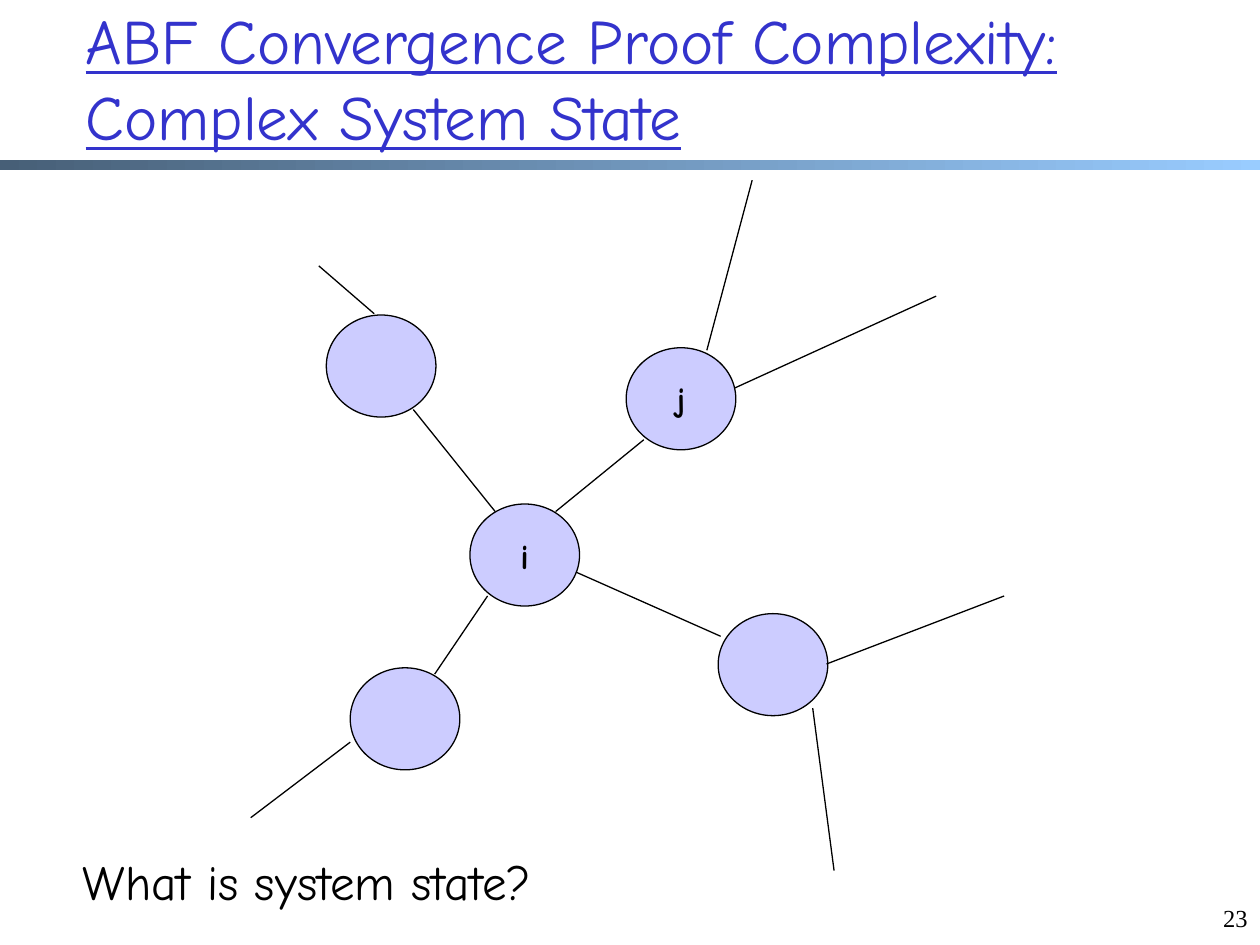
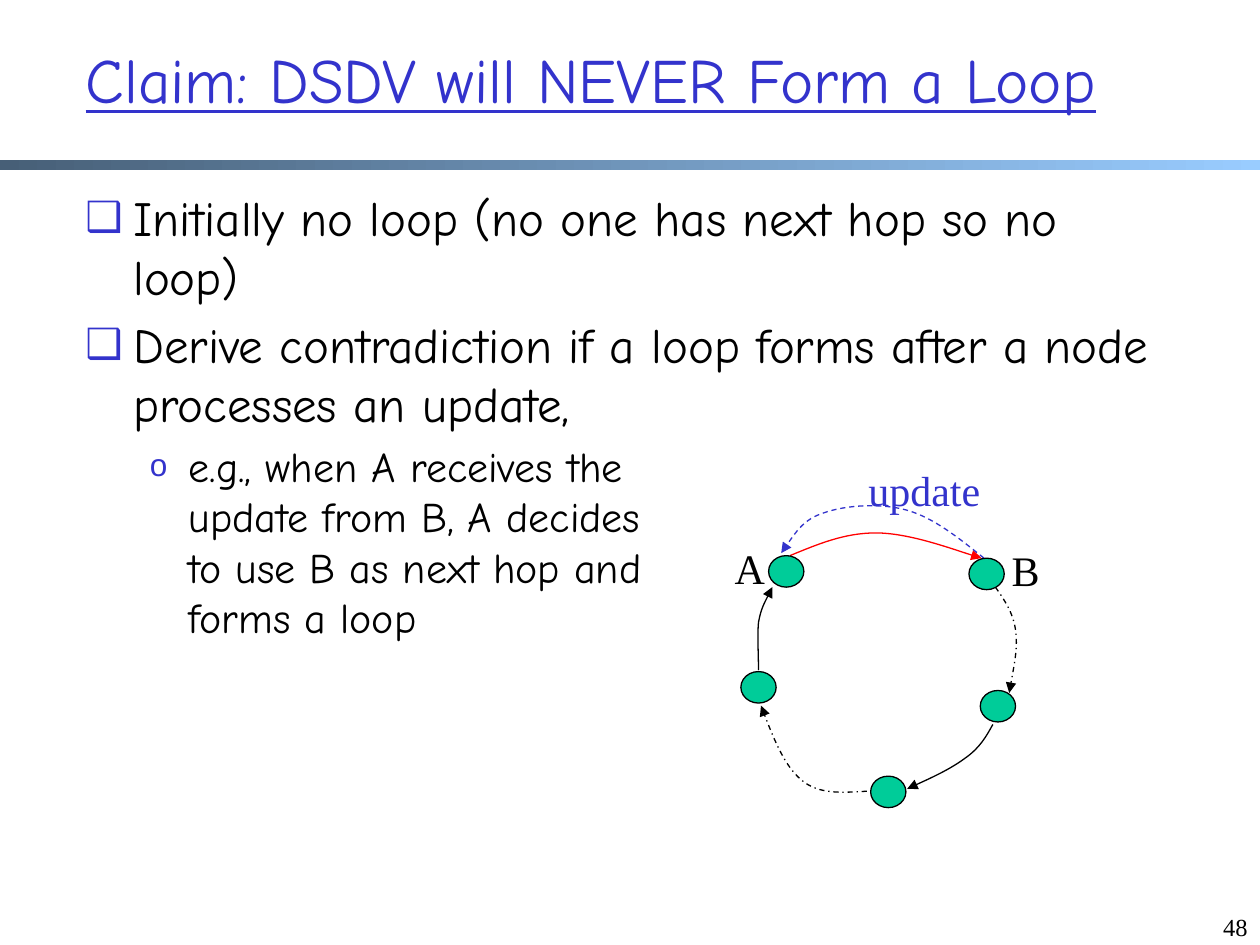
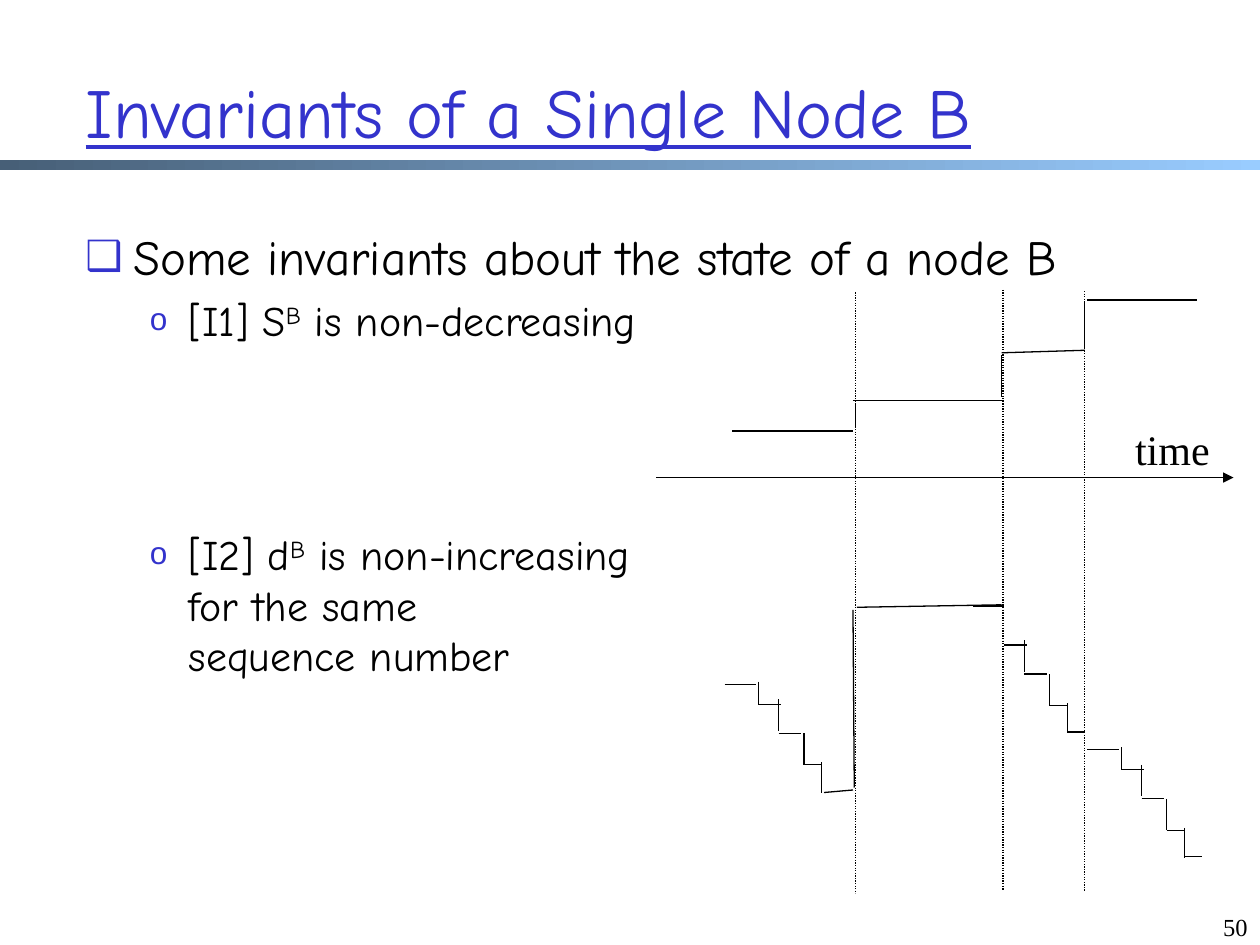
"""Build three slides on distance-vector routing: system state, loops and invariants."""
from lxml.etree import SubElement
from pptx import Presentation
from pptx.dml.color import RGBColor
from pptx.enum.dml import MSO_LINE
from pptx.enum.shapes import MSO_CONNECTOR, MSO_SHAPE
from pptx.enum.text import MSO_ANCHOR, MSO_AUTO_SIZE, PP_ALIGN
from pptx.oxml.ns import qn
from pptx.util import Inches, Pt

BLUE, BLACK, RED = "3333CC", "000000", "FF0000"
LILAC, GREEN = "CCCCFF", "00CC99"
BAND = ("475F77", "99CCFF")
COMIC, TIMES = "Comic Neue", "Times New Roman"
BULLETS = [
    dict(char="❑", pct=85, size=28, margin=0.38, hang=0.38),
    dict(char="o", pct=75, size=24, margin=0.82, hang=0.31),
]

NODE_SIZE = (0.87, 0.81)
NODES = [(3.73, 4, "i"), (4.97, 2.76, "j"), (5.7, 4.87, ""), (2.78, 5.3, ""), (2.59, 2.5, "")]
LINKS = [
    (4.41, 4.06, 5.11, 3.49), (3.93, 4.06, 3.28, 3.25), (3.45, 5.35, 3.87, 4.73),
    (4.57, 4.54, 5.72, 5.05), (5.61, 2.78, 5.97, 1.43), (5.83, 3.08, 7.43, 2.35),
    (2.97, 2.49, 2.53, 2.11), (2.78, 5.89, 1.99, 6.49), (6.45, 5.62, 6.62, 6.91),
    (6.56, 5.27, 7.97, 4.73),
]

LOOP_BODY = [
    (0, 0, ["Initially no loop (no one has next hop so no loop)"]),
    (0, 5.2, ["Derive contradiction if a loop forms after a node processes an update,"]),
    (1, 4.8, ["e.g., when A receives the\nupdate from B, A decides\n"
              "to use B as next hop and\nforms a loop"]),
]
HOP_SIZE = (0.28, 0.25)
HOPS = [(6.1, 4.41), (7.69, 4.43), (7.78, 5.48), (6.91, 6.16), (5.88, 5.33)]
ARCS = [
    (RED, None, [(6.27, 4.41), (6.49, 4.32), (6.7, 4.23), (6.95, 4.23),
                 (7.21, 4.23), (7.65, 4.39), (7.79, 4.43)]),
    (BLUE, MSO_LINE.DASH, [(7.81, 4.43), (7.61, 4.27), (7.41, 4.11), (7.2, 4.05), (6.99, 3.99),
                           (6.71, 4.01), (6.54, 4.07), (6.38, 4.12), (6.29, 4.26), (6.2, 4.39)]),
    (BLACK, None, [(7.88, 5.75), (7.83, 5.84), (7.78, 5.93), (7.67, 6.01),
                   (7.55, 6.1), (7.38, 6.18), (7.2, 6.26)]),
    (BLACK, None, [(6.02, 5.32), (6.02, 5.18), (6.01, 5.05), (6.02, 4.94),
                   (6.04, 4.83), (6.09, 4.74), (6.13, 4.66)]),
    (BLACK, MSO_LINE.DASH_DOT, [(7.9, 4.66), (7.97, 4.76), (8.04, 4.86), (8.06, 5),
                                (8.08, 5.14), (8.04, 5.32), (8.01, 5.5)]),
    (BLACK, MSO_LINE.DASH_DOT, [(6.88, 6.28), (6.69, 6.29), (6.5, 6.31), (6.36, 6.19),
                                (6.23, 6.08), (6.13, 5.84), (6.04, 5.6)]),
]
HOP_LABELS = [("A", (5.73, 4.26, 0.44, 0.5), BLACK), ("B", (7.92, 4.27, 0.44, 0.5), BLACK),
              ("update", (6.79, 3.64, 1.09, 0.5), BLUE)]

INVARIANT_BODY = [
    (0, 0, ["Some invariants about the state of a node B"]),
    (1, 5.2, ["[I1] S", "B", " is non-decreasing"]),
    (1, 105, ["[I2] d", "B", " is non-increasing\nfor the same\nsequence number"]),
]
EVENTS = [(6.79, 2.32, 6.79, 7.09), (7.96, 2.3, 7.96, 7.06), (8.61, 2.31, 8.61, 7.07)]
SEQUENCE = [
    (5.81, 3.42, 6.77, 3.42), (6.79, 3.39, 6.79, 3.21), (6.77, 3.18, 7.97, 3.18),
    (7.95, 3.15, 7.95, 2.82), (7.95, 2.8, 8.61, 2.78), (8.61, 2.77, 8.61, 2.39),
    (8.63, 2.38, 9.5, 2.38),
]
JUMP = [(6.54, 6.29, 6.77, 6.27), (6.78, 6.25, 6.77, 4.84), (6.8, 4.82, 7.95, 4.8),
        (7.72, 4.81, 7.97, 4.81)]
STAIR = [
    (5.75, 5.43, 6, 5.43), (6.02, 5.41, 6.02, 5.59), (6.02, 5.59, 6.2, 5.59),
    (6.18, 5.55, 6.18, 5.8), (6.18, 5.82, 6.36, 5.82), (6.38, 5.82, 6.38, 6.07),
    (6.38, 6.07, 6.52, 6.07), (6.52, 6.05, 6.52, 6.29), (6.52, 6.28, 6.66, 6.28),
]
STAIR_RUNS = [(0, 0, STAIR[:-1]), (1.95, -0.47, STAIR[2:]), (2.88, 0.52, STAIR)]
TIME_AXIS = (5.21, 3.79, 9.79, 3.79)


def rgb(color):
    """Turn a hex string into a colour."""
    return RGBColor.from_string(color)


def inches(values):
    """Turn numbers into lengths."""
    return [Inches(v) for v in values]


def style(font, color=BLACK, **values):
    """Set font attributes and colour."""
    for name, value in values.items():
        setattr(font, name, value)
    font.color.rgb = rgb(color)


def stroke(shape, color=BLACK, dash=None, arrow=False):
    """Give a shape or connector its thin line."""
    shape.line.width = Pt(0.75)
    shape.line.color.rgb = rgb(color)
    if dash:
        shape.line.dash_style = dash
    if arrow:
        SubElement(shape.line._get_or_add_ln(), qn("a:tailEnd"), type="triangle")


def add_lines(s, segments, **look):
    """Draw straight lines."""
    for segment in segments:
        line = s.shapes.add_connector(MSO_CONNECTOR.STRAIGHT, *inches(segment))
        stroke(line, **look)
        SubElement(line._element.spPr, qn("a:effectLst"))


def add_circle(s, box, fill, text=""):
    """Draw a node, with its name if it has one."""
    sp = s.shapes.add_shape(MSO_SHAPE.OVAL, *inches(box))
    sp.shadow.inherit = False
    sp.fill.solid()
    sp.fill.fore_color.rgb = rgb(fill)
    stroke(sp)
    if text:
        write(sp.text_frame, text, PP_ALIGN.CENTER, False, name=COMIC, size=Pt(20), bold=True)


def add_arc(s, color, dash, points):
    """Draw a curved arrow through Bezier control points."""
    start, *rest = [inches(point) for point in points]
    builder = s.shapes.build_freeform(*start)
    builder.add_line_segments(rest, close=False)
    sp = builder.convert_to_shape()
    steps = list(sp._element.iter(qn("a:lnTo")))
    for first in range(0, len(steps), 3):
        curve = SubElement(steps[first].getparent(), qn("a:cubicBezTo"))
        for step in steps[first:first + 3]:
            curve.append(step[0])
            step.getparent().remove(step)
    sp.shadow.inherit = False
    sp.fill.background()
    stroke(sp, color, dash, arrow=True)


def write(tf, text, align, wrap, **font):
    """Fill a text frame with one paragraph."""
    tf.word_wrap = wrap
    p = tf.paragraphs[0]
    p.alignment = align
    r = p.add_run()
    r.text = text
    style(r.font, **font)


def add_text(s, text, box, align=PP_ALIGN.CENTER, wrap=False, name=TIMES, size=24, color=BLACK):
    """Add a one-paragraph text box."""
    sp = s.shapes.add_textbox(*inches(box))
    write(sp.text_frame, text, align, wrap, name=name, size=Pt(size), color=color)


def set_bullet(p, char, pct, margin, hang, **_):
    """Give a paragraph its hanging bullet."""
    pPr = p._p.get_or_add_pPr()
    pPr.set("marL", str(Inches(margin)))
    pPr.set("indent", str(-Inches(hang)))
    SubElement(SubElement(pPr, qn("a:buClr")), qn("a:srgbClr"), val=BLUE)
    SubElement(pPr, qn("a:buSzPct"), val=str(pct * 1000))
    SubElement(pPr, qn("a:buFont"), typeface="Arial")
    SubElement(pPr, qn("a:buChar"), char=char)


def add_body(s, box, items):
    """Add the bulleted text; every second run is superscript."""
    tf = s.shapes.add_textbox(*inches(box)).text_frame
    tf.word_wrap = True
    for n, (level, before, parts) in enumerate(items):
        p = tf.add_paragraph() if n else tf.paragraphs[0]
        bullet = BULLETS[level]
        p.level = level
        if before:
            p.space_before = Pt(before)
        set_bullet(p, **bullet)
        for k, part in enumerate(parts):
            for m, text in enumerate(part.split("\n")):
                if m:
                    p.add_line_break()
                r = p.add_run()
                r.text = text
                style(r.font, name=COMIC, size=Pt(bullet["size"]))
                if k % 2:
                    r._r.get_or_add_rPr().set("baseline", "30000")


def add_slide(prs, title, box, number, number_box=(9.25, 7.19, 0.75, 0.31), size=36):
    """Add a slide with band, title and page number."""
    s = prs.slides.add_slide(prs.slide_layouts[5])
    band = s.shapes.add_shape(MSO_SHAPE.RECTANGLE, *inches((0, 1.27, 10, 0.08)))
    band.shadow.inherit = False
    band.line.fill.background()
    band.fill.gradient()
    band.fill.gradient_angle = 0
    for stop, color in zip(band.fill.gradient_stops, BAND):
        stop.color.rgb = rgb(color)
    sp = s.shapes.title
    sp.left, sp.top, sp.width, sp.height = inches(box)
    tf = sp.text_frame
    tf.auto_size = MSO_AUTO_SIZE.NONE
    tf.vertical_anchor = MSO_ANCHOR.MIDDLE
    write(tf, title, PP_ALIGN.LEFT, True, name=COMIC, size=Pt(size), underline=True, color=BLUE)
    add_text(s, number, number_box, PP_ALIGN.RIGHT, True, size=14)
    return s


def state_slide(prs):
    """Show the network around node i."""
    s = add_slide(prs, "ABF Convergence Proof Complexity: Complex System State",
                  (0.58, -0.01, 8.78, 1.25), "23", (9.5, 7.12, 0.5, 0.5))
    for x, y, name in NODES:
        add_circle(s, (x, y, *NODE_SIZE), LILAC, name)
    add_lines(s, LINKS)
    add_text(s, "What is system state?", (0.56, 6.71, 4.36, 0.57), PP_ALIGN.LEFT, True, COMIC, 28)


def loop_slide(prs):
    """Show the loop that an update would form."""
    s = add_slide(prs, "Claim: DSDV will NEVER Form a Loop", (0.58, 0, 9.11, 1.25), "48")
    add_body(s, (0.58, 1.44, 8.81, 5.62), LOOP_BODY)
    for arc in ARCS:
        add_arc(s, *arc)
    for hop in HOPS:
        add_circle(s, (*hop, *HOP_SIZE), GREEN)
    for text, box, color in HOP_LABELS:
        add_text(s, text, box, color=color)


def invariant_slide(prs):
    """Plot sequence number and distance over time."""
    s = add_slide(prs, "Invariants of a Single Node B", (0.58, 0.25, 8.78, 1.25), "50", size=40)
    add_body(s, (0.58, 1.75, 8.81, 5.31), INVARIANT_BODY)
    add_lines(s, EVENTS, dash=MSO_LINE.ROUND_DOT)
    add_lines(s, SEQUENCE + JUMP)
    for dx, dy, stair in STAIR_RUNS:
        add_lines(s, [(x1 + dx, y1 + dy, x2 + dx, y2 + dy) for x1, y1, x2, y2 in stair])
    add_lines(s, [TIME_AXIS], arrow=True)
    add_text(s, "time", (8.91, 3.31, 0.79, 0.5))


def main():
    """Build and save the slides."""
    prs = Presentation()
    prs.slide_width, prs.slide_height = inches((10, 7.5))
    for build in (state_slide, loop_slide, invariant_slide):
        build(prs)
    prs.save("out.pptx")


if __name__ == "__main__":
    main()
